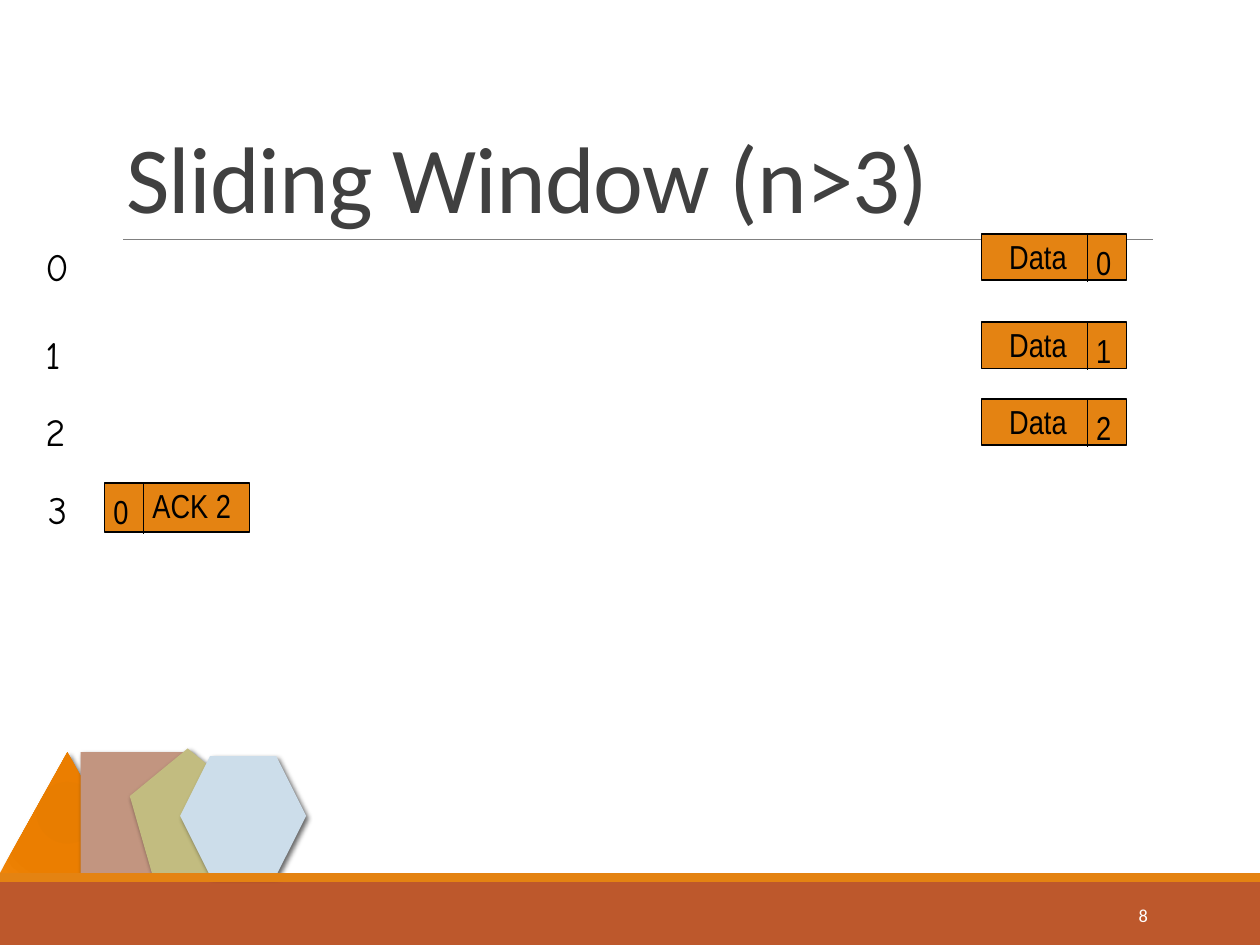
import pptx
import pptx.dml.color
import pptx.enum.shapes
import pptx.enum.text
import pptx.oxml
import pptx.oxml.ns
import pptx.util

SHAPE = pptx.enum.shapes.MSO_SHAPE
ANCHOR = pptx.enum.text.MSO_ANCHOR
ALIGN = pptx.enum.text.PP_ALIGN
NAMESPACE = pptx.oxml.ns.nsdecls("a")
color = pptx.dml.color.RGBColor.from_string

deck = pptx.Presentation()
deck.slide_width = pptx.util.Inches(10)
deck.slide_height = pptx.util.Inches(7.5)
CELL = deck.slide_width / 10  # square grid: 10 columns by 7.5 rows
page = deck.slides.add_slide(deck.slide_layouts[5])


def draw(shapes, kind, at, fill=None, line=None, weight=1, shadow=""):
    """Add a preset shape, or a straight line of the given extent if kind is None."""
    left, top, width, height = [round(CELL * value) for value in at]
    if kind is None:
        shape = shapes.add_connector(
            pptx.enum.shapes.MSO_CONNECTOR.STRAIGHT, left, top, left + width, top + height)
    else:
        shape = shapes.add_shape(kind, left, top, width, height)
        if fill:
            shape.fill.solid()
            shape.fill.fore_color.rgb = color(fill)
    if line:
        shape.line.color.rgb = color(line)
        shape.line.width = pptx.util.Pt(weight)
    else:
        shape.line.fill.background()
    shape._element.spPr.append(pptx.oxml.parse_xml(
        f"<a:effectLst {NAMESPACE}>{shadow}</a:effectLst>"))
    return shape


def write(shapes, text, at, size, font, ink="000000", inset=0.05, wrap=True):
    """Add a one-paragraph text box."""
    box = shapes.add_textbox(*[round(CELL * value) for value in at])
    frame = box.text_frame
    frame.text = text
    frame.word_wrap = wrap
    frame.margin_left = frame.margin_right = round(CELL * 0.09)
    frame.margin_top = frame.margin_bottom = round(CELL * inset)
    span = frame.paragraphs[0].runs[0]
    span.font.size = pptx.util.Pt(size)
    span.font.name = font
    span.font.color.rgb = color(ink)
    return box


# Decoration: overlapping polygons, title rule and footer bars
SHADOW = ('<a:outerShdw blurRad="38100" dist="25400" dir="2700000" algn="tl" rotWithShape="0">'
          '<a:srgbClr val="000000"><a:alpha val="60000"/></a:srgbClr></a:outerShdw>')
triangle = draw(page.shapes, SHAPE.ISOSCELES_TRIANGLE, (0, 5.97, 1.07, 0.96), shadow=SHADOW)
stops = "".join(
    f'<a:gs pos="{share * 1000}"><a:srgbClr val="{tone}"/></a:gs>'
    for share, tone in [(0, "E57B00"), (34, "E87D00"), (70, "EB7E00"), (100, "EF8407")])
triangle._element.spPr.prstGeom.addnext(pptx.oxml.parse_xml(
    f'<a:gradFill {NAMESPACE} rotWithShape="1"><a:gsLst>{stops}</a:gsLst><a:path path="circle">'
    '<a:fillToRect l="100000" t="100000" r="100000" b="100000"/></a:path></a:gradFill>'))
draw(page.shapes, SHAPE.RECTANGLE, (0.64, 5.97, 0.87, 0.96), "C29580", shadow=SHADOW)
draw(page.shapes, SHAPE.RECTANGLE, (0, 7, 10, 0.5), "BD582C")
draw(page.shapes, None, (0.98, 1.9, 8.17, 0), line="808080", weight=0.5)
draw(page.shapes, SHAPE.REGULAR_PENTAGON, (1.03, 5.94, 0.92, 0.99), "C2BC80", shadow=SHADOW)
draw(page.shapes, SHAPE.HEXAGON, (1.43, 6, 1, 0.95), "CCDDEA", shadow=SHADOW)
draw(page.shapes, SHAPE.RECTANGLE, (0, 6.93, 10, 0.07), "E48312")

# Title
title = page.shapes.title
title.left, title.top, title.width, title.height = [
    round(CELL * value) for value in (0.9, 0.31, 8.25, 1.59)]
title.text_frame.text = "Sliding Window (n>3)"
title.text_frame.vertical_anchor = ANCHOR.BOTTOM
para = title.text_frame.paragraphs[0]
para.alignment = ALIGN.LEFT
para.line_spacing = 0.85
span = para.runs[0]
span.font.size = pptx.util.Pt(54)
span.font.name = "Calibri"
span.font.color.rgb = color("404040")
span._r.get_or_add_rPr().set("spc", "-50")

# Time steps down the left edge
STEP_TOPS = [1.88, 2.58, 3.19, 3.81]
for step, top in enumerate(STEP_TOPS):
    left = 0.29 if step == 3 else 0.27
    write(page.shapes, str(step), (left, top, 0.37, 0.46), 22, "Comic Neue", wrap=False)

# Packets: label, number, top, frame left and height, then label, divider and number lefts
packets = [("Data", str(step), top, 7.79, 0.37, 7.92, 8.63, 8.61)
           for step, top in enumerate(STEP_TOPS[:3])]
packets.append(("ACK 2", "0", 3.86, 0.83, 0.39, 1.12, 1.14, 0.81))
for label, number, top, left, height, label_left, divider, number_left in packets:
    packet = page.shapes.add_group_shape().shapes
    draw(packet, SHAPE.RECTANGLE, (left, top - 0.025, 1.15, height), "E48312", "000000")
    write(packet, label, (label_left, top - 0.045, 0.87, 0.4), 19, "Arial Narrow", inset=0.04)
    draw(packet, None, (divider, top - 0.03, 0, height + 0.02), line="000000")
    write(packet, number, (number_left, top, 0.3, 0.4), 19, "Arial Narrow", inset=0.04)

# Slide number
box = write(page.shapes, "8", (8.12, 7.06, 1.08, 0.4), 10.5, "Calibri", "FFFFFF")
box.text_frame.vertical_anchor = ANCHOR.MIDDLE
box.text_frame.paragraphs[0].alignment = ALIGN.RIGHT

deck.save("out.pptx")
